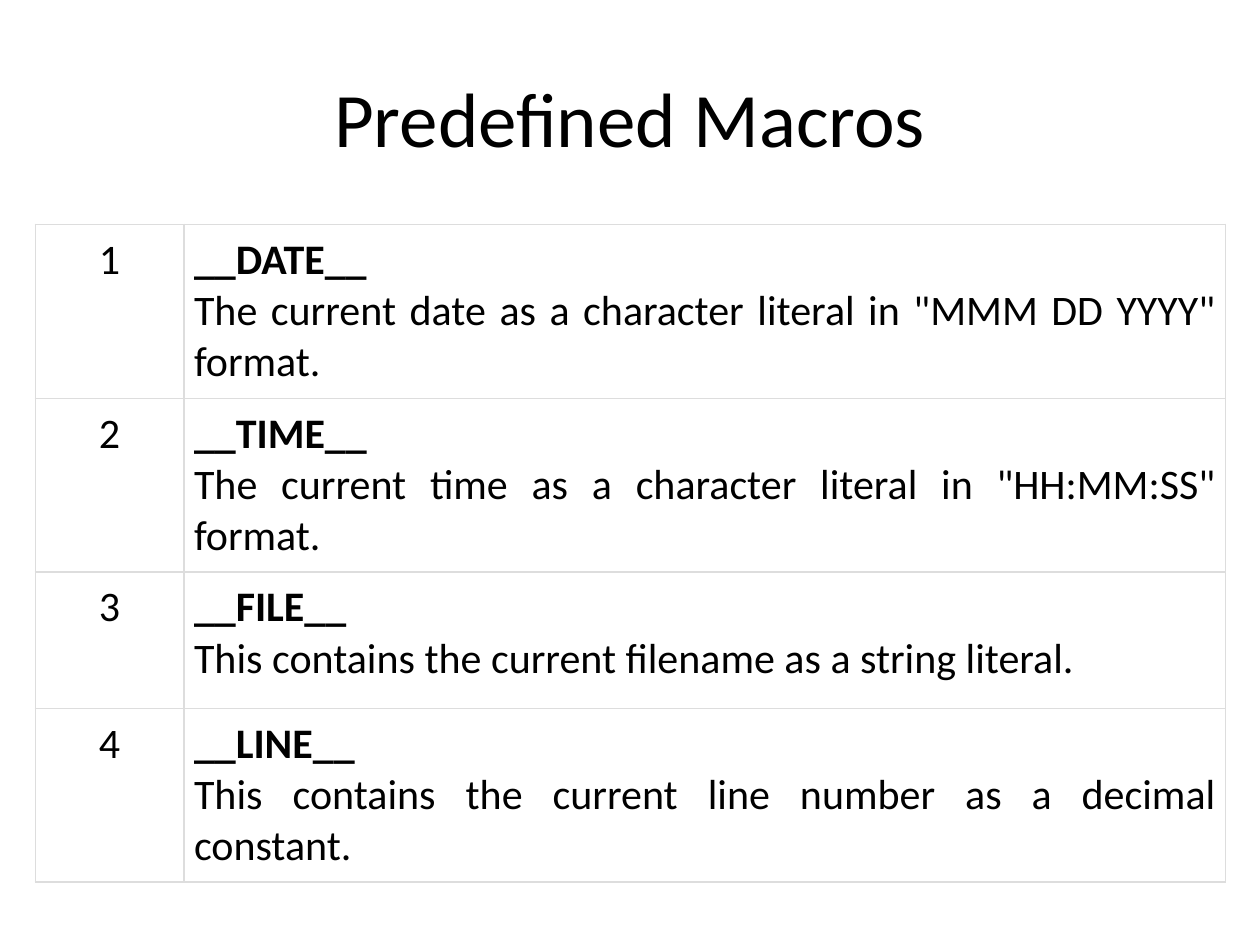
from dataclasses import dataclass

from lxml.etree import SubElement
from pptx import Presentation
from pptx.dml.color import RGBColor
from pptx.enum.text import MSO_ANCHOR, PP_ALIGN
from pptx.oxml.ns import qn
from pptx.slide import Slide
from pptx.table import _Cell
from pptx.text.text import TextFrame
from pptx.util import Inches, Pt

BLACK = RGBColor(0x00, 0x00, 0x00)
BORDER_GREY = RGBColor(0xDD, 0xDD, 0xDD)
FONT = "Calibri"
SLIDE_WIDTH, SLIDE_HEIGHT = Inches(10), Inches(7.5)
CELL_INSET = Inches(0.08)
COLUMN_SHARES = (0.118, 0.827)  # of the slide's width
TWO_LINES, THREE_LINES = 0.144, 0.184  # row heights, of the slide's height


@dataclass(frozen=True)
class Macro:
    name: str
    meaning: str
    height: float = THREE_LINES


MACROS = (
    Macro("__DATE__", 'The current date as a character literal in "MMM DD YYYY" format.'),
    Macro("__TIME__", 'The current time as a character literal in "HH:MM:SS" format.'),
    Macro("__FILE__", "This contains the current filename as a string literal.", TWO_LINES),
    Macro("__LINE__", "This contains the current line number as a decimal constant."),
)


def write(frame: TextFrame, *lines: str, size: int = 24,
          align: PP_ALIGN = PP_ALIGN.CENTER, bold_first: bool = False) -> None:
    """Write one paragraph per line, the first one bold on request."""
    for index, line in enumerate(lines):
        paragraph = frame.add_paragraph() if index else frame.paragraphs[0]
        paragraph.alignment = align
        run = paragraph.add_run()
        run.text = line
        run.font.name, run.font.size = FONT, Pt(size)
        run.font.bold = bold_first and index == 0
        run.font.color.rgb = BLACK


def format_cell(cell: _Cell) -> None:
    """Give a cell even insets, no fill and a thin border all round."""
    cell.margin_left = cell.margin_right = CELL_INSET
    cell.margin_top = cell.margin_bottom = CELL_INSET
    properties = cell._tc.get_or_add_tcPr()
    for side in ("a:lnL", "a:lnR", "a:lnT", "a:lnB"):
        line = SubElement(properties, qn(side), w=str(Pt(0.75)))
        fill = SubElement(line, qn("a:solidFill"))
        SubElement(fill, qn("a:srgbClr"), val=str(BORDER_GREY))
    cell.fill.background()


def add_title(slide: Slide, text: str) -> None:
    title = slide.shapes.add_textbox(
        int(SLIDE_WIDTH * 0.05), int(SLIDE_HEIGHT * 0.04),
        int(SLIDE_WIDTH * 0.9), Inches(1.25)).text_frame
    title.word_wrap = True
    title.vertical_anchor = MSO_ANCHOR.MIDDLE
    write(title, text, size=44)


def add_macro_table(slide: Slide, macros: tuple[Macro, ...]) -> None:
    table = slide.shapes.add_table(
        len(macros), len(COLUMN_SHARES), Inches(0.28), Inches(1.78),
        int(SLIDE_WIDTH * sum(COLUMN_SHARES)),
        int(SLIDE_HEIGHT * sum(macro.height for macro in macros))).table
    table.first_row = table.horz_banding = False
    for column, share in zip(table.columns, COLUMN_SHARES):
        column.width = int(SLIDE_WIDTH * share)
    for number, (row, macro) in enumerate(zip(table.rows, macros), start=1):
        row.height = int(SLIDE_HEIGHT * macro.height)
        number_cell, macro_cell = row.cells
        write(number_cell.text_frame, str(number))
        write(macro_cell.text_frame, macro.name, macro.meaning,
              align=PP_ALIGN.JUSTIFY, bold_first=True)
        for cell in (number_cell, macro_cell):
            format_cell(cell)


def main() -> None:
    presentation = Presentation()
    presentation.slide_width, presentation.slide_height = SLIDE_WIDTH, SLIDE_HEIGHT
    slide = presentation.slides.add_slide(presentation.slide_layouts[6])  # blank
    add_title(slide, "Predefined Macros")
    add_macro_table(slide, MACROS)
    presentation.save("out.pptx")


if __name__ == "__main__":
    main()
